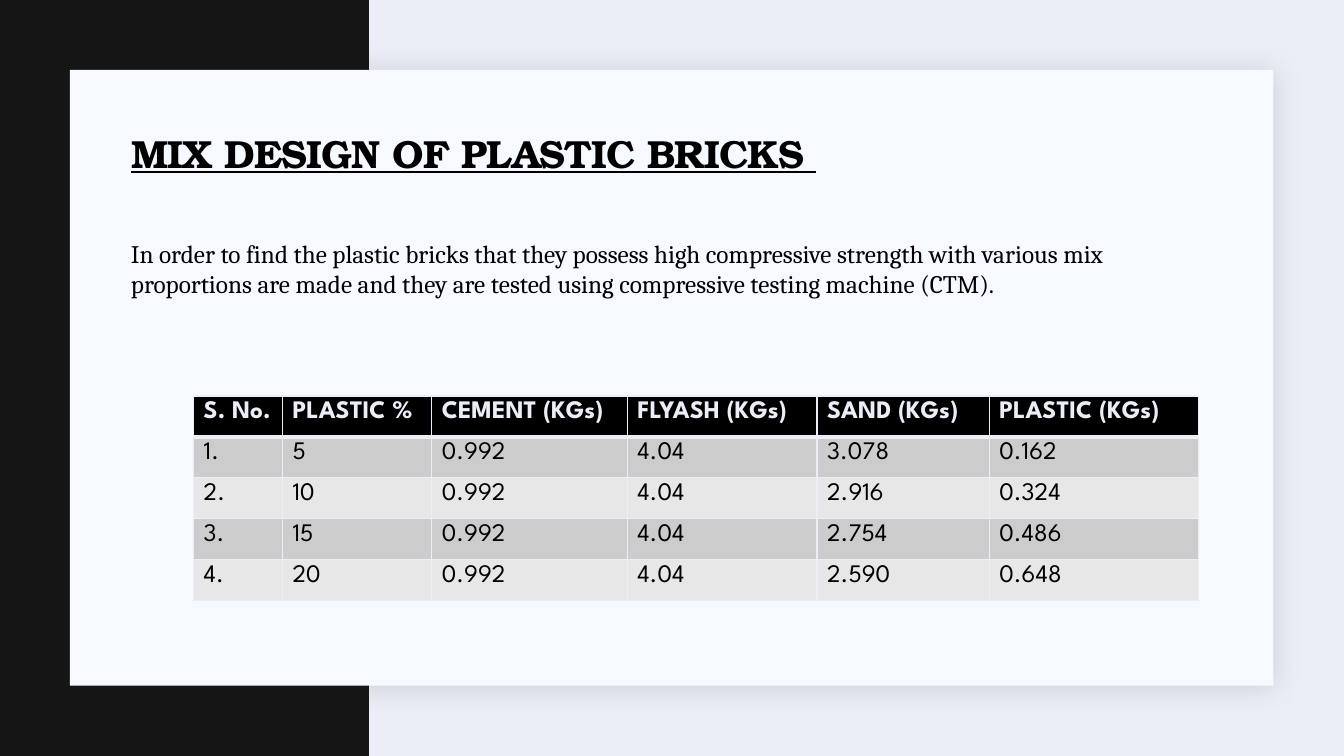
import pptx
import pptx.dml.color
import pptx.enum.shapes
import pptx.enum.text
import pptx.oxml
import pptx.oxml.ns
import pptx.util
from pptx.util import Cm, Pt

TITLE = "MIX DESIGN OF PLASTIC BRICKS "
INTRO = ("In order to find the plastic bricks that they possess high compressive strength "
         "with various mix proportions are made and they are tested using compressive "
         "testing machine (CTM). ")
MIXES = [
    ("S. No.", "PLASTIC %", "CEMENT (KGs)", "FLYASH (KGs)", "SAND (KGs)", "PLASTIC (KGs)"),
    ("1.", "5", "0.992", "4.04", "3.078", "0.162"),
    ("2.", "10", "0.992", "4.04", "2.916", "0.324"),
    ("3.", "15", "0.992", "4.04", "2.754", "0.486"),
    ("4.", "20", "0.992", "4.04", "2.590", "0.648"),
]
COLUMN_WIDTHS = (2.24, 3.76, 4.93, 4.78, 4.34, 5.28)
ROW_HEIGHT = 1.03
PANELS = [("141514", (0, 0, 9.3, 19.05)), ("F6F9FF", (1.76, 1.76, 30.33, 15.52))]
PALE, BLACK = "ECEEF7", "000000"
BANDS = ("E7E7E7", "CCCCCC")
NS = pptx.oxml.ns.nsdecls("a")


def rgb(value):
    """Return the colour for a hex string."""
    return pptx.dml.color.RGBColor.from_string(value)


def paint(fill, value):
    """Apply a solid colour to a fill."""
    fill.solid()
    fill.fore_color.rgb = rgb(value)


def style(paragraph, font_name, size, color, bold=False):
    """Format a paragraph's only run and return the run."""
    run = paragraph.runs[0]
    run.font.name, run.font.size, run.font.bold = font_name, Pt(size), bold
    run.font.color.rgb = rgb(color)
    return run


def add_borders(cell, top, bottom):
    """Draw the four borders of a cell, with widths in points."""
    properties = cell._tc.get_or_add_tcPr()
    for place, (side, width) in enumerate(zip("LRTB", (1, 1, top, bottom))):
        properties.insert(place, pptx.oxml.parse_xml(
            f'<a:ln{side} {NS} w="{Pt(width)}"><a:solidFill><a:srgbClr val="{PALE}"/>'
            f'</a:solidFill></a:ln{side}>'))


deck = pptx.Presentation()
deck.slide_width, deck.slide_height = Cm(33.87), Cm(19.05)
slide = deck.slides.add_slide(deck.slide_layouts[5])
paint(slide.background.fill, PALE)

for order, (color, box) in enumerate(PANELS):
    panel = slide.shapes.add_shape(pptx.enum.shapes.MSO_SHAPE.RECTANGLE, *map(Cm, box))
    paint(panel.fill, color)
    panel.line.fill.background()
    panel.shadow.inherit = False
    slide.shapes.element.insert(2 + order, panel.element)
panel.element.spPr.find(pptx.oxml.ns.qn("a:effectLst")).append(pptx.oxml.parse_xml(
    f'<a:outerShdw {NS} blurRad="{Pt(20)}" dist="{Pt(2)}" dir="2700000" algn="tl" '
    'rotWithShape="0"><a:srgbClr val="1F2125"><a:alpha val="15000"/></a:srgbClr>'
    '</a:outerShdw>'))

title = slide.shapes.title
title.left, title.top, title.width, title.height = map(Cm, (3.05, 3.1, 27.94, 1.63))
heading = title.text_frame
heading.text = TITLE
heading.auto_size = pptx.enum.text.MSO_AUTO_SIZE.NONE
heading.vertical_anchor = pptx.enum.text.MSO_ANCHOR.MIDDLE
heading.paragraphs[0].alignment = pptx.enum.text.PP_ALIGN.LEFT
heading.paragraphs[0].line_spacing = 0.9
heading_run = style(heading.paragraphs[0], "TeX Gyre Bonum", 28, BLACK, True)
heading_run.font.underline = True
heading_run.font._element.set("spc", "-50")

intro = slide.shapes.add_textbox(*map(Cm, (3.05, 5.87, 27.94, 10.44))).text_frame
intro.word_wrap = True
intro.margin_right = 0
intro.text = INTRO
style(intro.paragraphs[0], "Cambria", 18, BLACK)

mix_table = slide.shapes.add_table(
    len(MIXES), len(COLUMN_WIDTHS), Cm(4.88), Cm(9.98),
    Cm(sum(COLUMN_WIDTHS)), Cm(ROW_HEIGHT * len(MIXES))).table
for column, width in zip(mix_table.columns, COLUMN_WIDTHS):
    column.width = Cm(width)
for row, mix in enumerate(MIXES):
    mix_table.rows[row].height = Cm(ROW_HEIGHT)
    header = row == 0
    for column, value in enumerate(mix):
        cell = mix_table.cell(row, column)
        cell.text = value
        style(cell.text_frame.paragraphs[0], "League Spartan", 18,
              PALE if header else BLACK, header)
        paint(cell.fill, BLACK if header else BANDS[row % 2])
        add_borders(cell, 3 if row == 1 else 1, 3 if header else 1)

deck.save("out.pptx")
